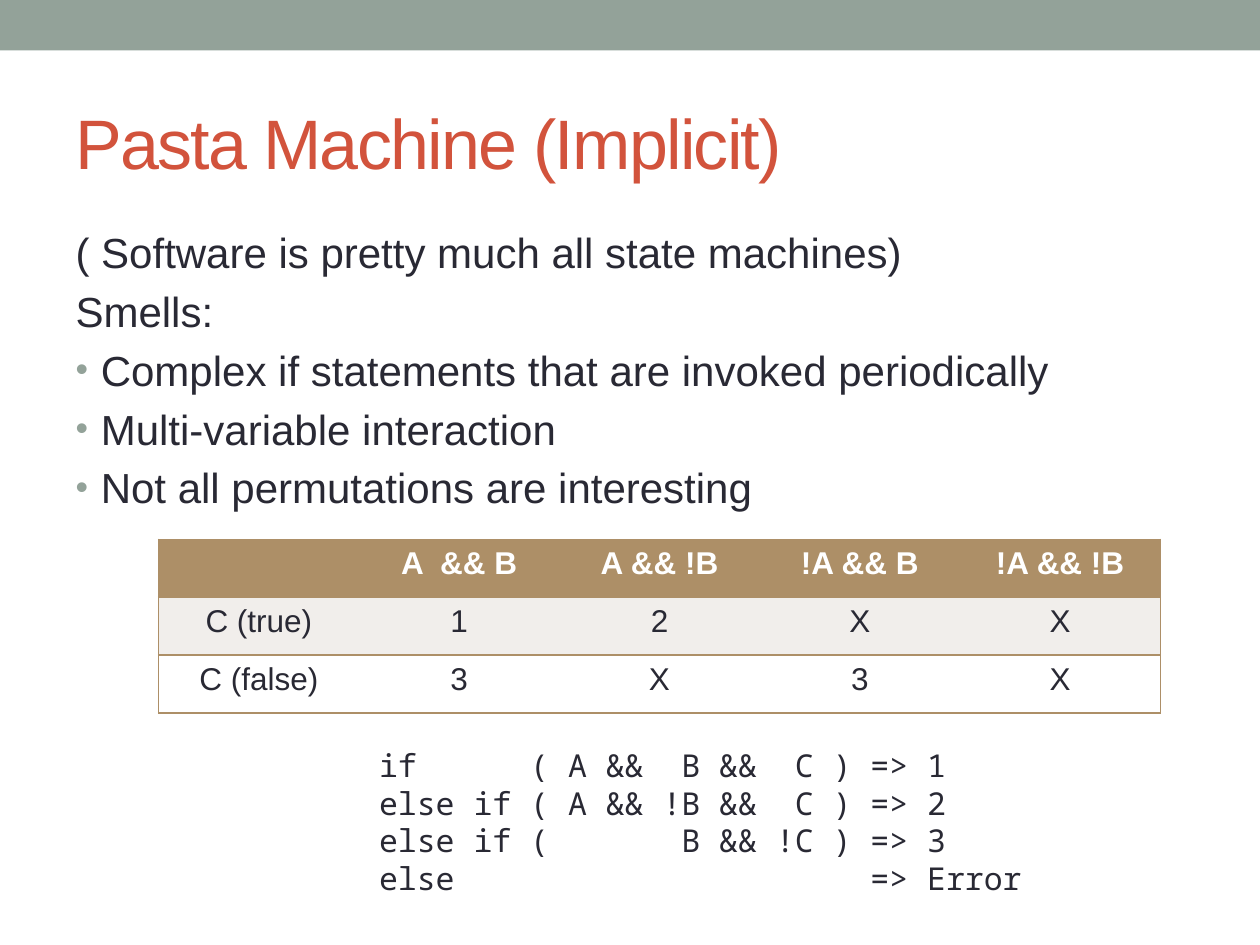
"""Build the slide about implicit pasta machines."""
from dataclasses import dataclass

from lxml import etree
from pptx import Presentation
from pptx.dml.color import RGBColor
from pptx.enum.shapes import MSO_SHAPE
from pptx.enum.text import MSO_ANCHOR, MSO_AUTO_SIZE, PP_ALIGN
from pptx.oxml.ns import qn
from pptx.util import Inches, Pt

RECTANGLE = MSO_SHAPE.RECTANGLE
MIDDLE, TOP = MSO_ANCHOR.MIDDLE, MSO_ANCHOR.TOP
LEFT, CENTER = PP_ALIGN.LEFT, PP_ALIGN.CENTER
NO_AUTOFIT, GROW = MSO_AUTO_SIZE.NONE, MSO_AUTO_SIZE.SHAPE_TO_FIT_TEXT

SLIDE_WIDTH, SLIDE_HEIGHT = 10, 7.5
MARGIN = 0.05 * SLIDE_WIDTH
CONTENT_WIDTH = SLIDE_WIDTH - 2 * MARGIN
TABLE_LEFT, TABLE_TOP = 1.26, 4.28
COLUMN_WIDTH, ROW_HEIGHT = 1.59, 0.46
BULLET_INDENT = 0.2


@dataclass(frozen=True)
class Theme:
    """Colours, fonts and type sizes of the slide."""

    bar: str = "93A299"
    title: str = "D2533C"
    text: str = "292934"
    accent: str = "AD8F67"
    band: str = "F1EEEB"
    white: str = "FFFFFF"
    font: str = "Arial"
    code_font: str = "Noto Sans Mono"
    title_size: int = 40
    body_size: int = 24
    small_size: int = 18


THEME = Theme()
TITLE = "Pasta Machine (Implicit)"
INTRODUCTION = ["( Software is pretty much all state machines)", "Smells:"]
SMELLS = [
    "Complex if statements that are invoked periodically",
    "Multi-variable interaction",
    "Not all permutations are interesting",
]
STATES = [
    ["", "A  && B", "A && !B", "!A && B", "!A && !B"],
    ["C (true)", "1", "2", "X", "X"],
    ["C (false)", "3", "X", "3", "X"],
]
CODE = [
    "if      ( A &&  B &&  C ) => 1",
    "else if ( A && !B &&  C ) => 2",
    "else if (       B && !C ) => 3",
    "else                      => Error",
]


def place(shape, left, top, width, height):
    """Move and size a shape in inches."""
    shape.left, shape.top = Inches(left), Inches(top)
    shape.width, shape.height = Inches(width), Inches(height)


def format_paragraph(paragraph, size, color, font=THEME.font, bold=False, alignment=LEFT):
    """Align a paragraph and format its runs."""
    paragraph.alignment = alignment
    for run in paragraph.runs:
        run.font.name = font
        run.font.size = Pt(size)
        run.font.bold = bold
        run.font.color.rgb = RGBColor.from_string(color)


def set_bullet(paragraph, bulleted):
    """Give a paragraph a hanging bullet, or remove its bullet."""
    properties = paragraph._p.get_or_add_pPr()
    indent = Inches(BULLET_INDENT) if bulleted else 0
    properties.set("marL", str(indent))
    properties.set("indent", str(-indent))
    if not bulleted:
        etree.SubElement(properties, qn("a:buNone"))
        return
    color = etree.SubElement(properties, qn("a:buClr"))
    etree.SubElement(color, qn("a:srgbClr"), val=THEME.bar)
    etree.SubElement(properties, qn("a:buSzPct"), val="85000")
    etree.SubElement(properties, qn("a:buFont"), typeface=THEME.font)
    etree.SubElement(properties, qn("a:buChar"), char="•")


def set_borders(cell, visible_sides):
    """Draw the given sides of a cell and hide the others."""
    properties = cell._tc.get_or_add_tcPr()
    for position, side in enumerate("LRTB"):
        line = etree.Element(qn(f"a:ln{side}"), w=str(Pt(1)))
        if side in visible_sides:
            fill = etree.SubElement(line, qn("a:solidFill"))
            etree.SubElement(fill, qn("a:srgbClr"), val=THEME.accent)
        else:
            etree.SubElement(line, qn("a:noFill"))
        properties.insert(position, line)


def add_bar(slide):
    """Add the band along the top edge."""
    bar = slide.shapes.add_shape(RECTANGLE, 0, 0, Inches(SLIDE_WIDTH), Inches(0.4))
    bar.shadow.inherit = False
    bar.fill.solid()
    bar.fill.fore_color.rgb = RGBColor.from_string(THEME.bar)
    bar.line.fill.background()


def fill_title(slide):
    """Write and format the title placeholder."""
    title = slide.shapes.title
    place(title, MARGIN, 0.58, CONTENT_WIDTH, 1.08)
    frame = title.text_frame
    frame.text = TITLE
    frame.vertical_anchor = MIDDLE
    frame.auto_size = NO_AUTOFIT
    paragraph = frame.paragraphs[0]
    format_paragraph(paragraph, THEME.title_size, THEME.title)
    paragraph.runs[0].font._element.set("spc", "-100")


def fill_body(slide):
    """Write the introduction and the bulleted smells."""
    body = slide.placeholders[1]
    place(body, MARGIN, 1.75, CONTENT_WIDTH, 2.72)
    frame = body.text_frame
    frame.text = "\n".join(INTRODUCTION + SMELLS)
    frame.vertical_anchor = TOP
    frame.auto_size = NO_AUTOFIT
    for index, paragraph in enumerate(frame.paragraphs):
        format_paragraph(paragraph, THEME.body_size, THEME.text)
        set_bullet(paragraph, index >= len(INTRODUCTION))


def add_state_table(slide):
    """Add the table of states for each combination."""
    row_count, column_count = len(STATES), len(STATES[0])
    table = slide.shapes.add_table(
        row_count, column_count, Inches(TABLE_LEFT), Inches(TABLE_TOP),
        Inches(column_count * COLUMN_WIDTH), Inches(row_count * ROW_HEIGHT),
    ).table
    row_fills = [THEME.accent, THEME.band, THEME.white]
    for row, (values, row_fill) in enumerate(zip(STATES, row_fills)):
        header = row == 0
        color = THEME.white if header else THEME.text
        for column, value in enumerate(values):
            cell = table.cell(row, column)
            cell.text = value
            cell.fill.solid()
            cell.fill.fore_color.rgb = RGBColor.from_string(row_fill)
            format_paragraph(cell.text_frame.paragraphs[0], THEME.small_size, color,
                             bold=header, alignment=CENTER)
            outer_side = {0: "L", column_count - 1: "R"}.get(column, "")
            set_borders(cell, "TB" + outer_side)


def add_code(slide):
    """Add the conditional statements in a monospaced font."""
    box = slide.shapes.add_textbox(Inches(2.91), Inches(5.87), Inches(5.35), Inches(1.31))
    frame = box.text_frame
    frame.text = "\n".join(CODE)
    frame.word_wrap = False
    frame.auto_size = GROW
    for paragraph in frame.paragraphs:
        format_paragraph(paragraph, THEME.small_size, THEME.text, THEME.code_font)


def main():
    """Build and save the presentation."""
    presentation = Presentation()
    presentation.slide_width = Inches(SLIDE_WIDTH)
    presentation.slide_height = Inches(SLIDE_HEIGHT)
    slide = presentation.slides.add_slide(presentation.slide_layouts[1])
    add_bar(slide)
    fill_title(slide)
    fill_body(slide)
    add_state_table(slide)
    add_code(slide)
    presentation.save("out.pptx")


if __name__ == "__main__":
    main()
